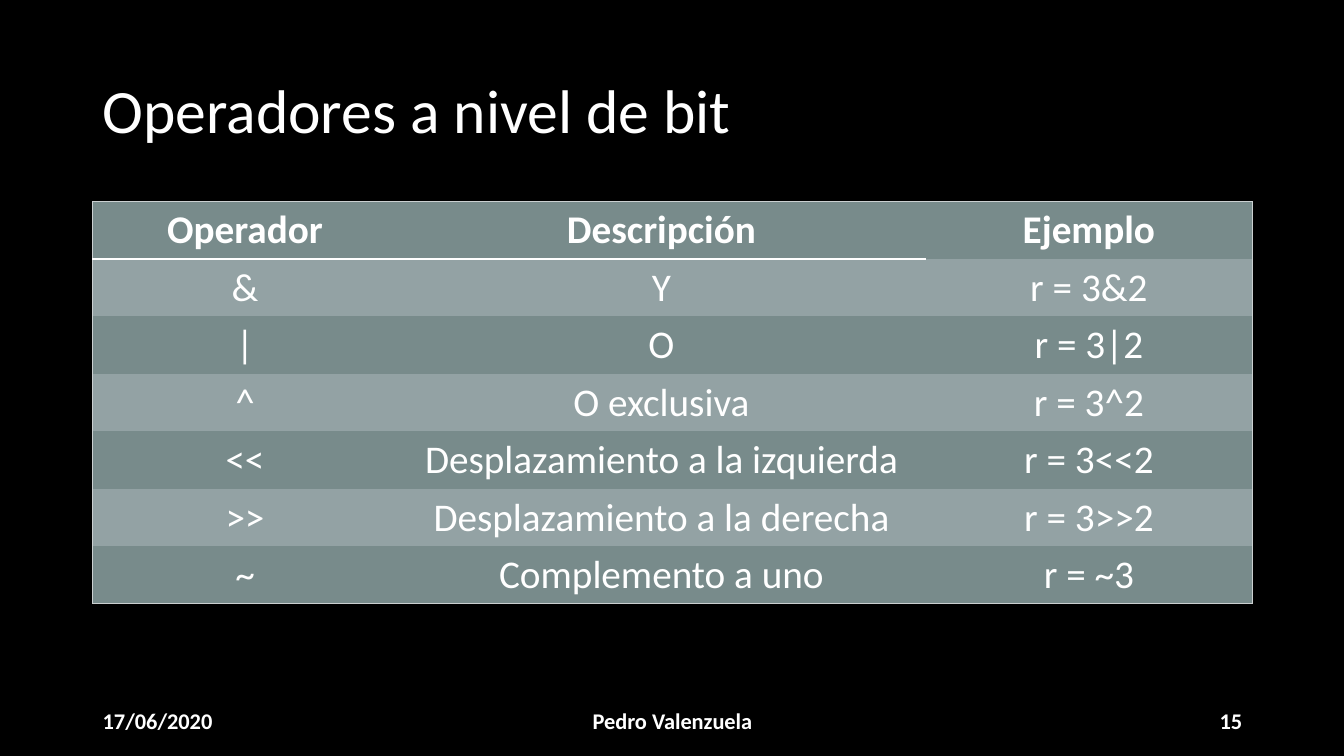
import pptx
import pptx.util
import pptx.dml.color
import pptx.enum.text
import pptx.oxml
import pptx.oxml.ns

Inches, Pt = pptx.util.Inches, pptx.util.Pt
RGBColor = pptx.dml.color.RGBColor
Align = pptx.enum.text.PP_ALIGN
Anchor = pptx.enum.text.MSO_ANCHOR

BLACK = RGBColor(0x00, 0x00, 0x00)
WHITE = RGBColor(0xFF, 0xFF, 0xFF)
FRAME = RGBColor(0xCB, 0xD0, 0xD1)
BASE = RGBColor(0x78, 0x8B, 0x8B)
BAND = RGBColor(0x93, 0xA2, 0xA4)
FONT = "Calibri"

TITLE = "Operadores a nivel de bit"
FOOT = [
    ("17/06/2020", 0.92, 3, Align.LEFT),
    ("Pedro Valenzuela", 4.42, 4.5, Align.CENTER),
    ("15", 9.42, 3, Align.RIGHT),
]
ROWS = [
    ("Operador", "Descripción", "Ejemplo"),
    ("&", "Y", "r = 3&2"),
    ("|", "O", "r = 3|2"),
    ("^", "O exclusiva", "r = 3^2"),
    ("<<", "Desplazamiento a la izquierda", "r = 3<<2"),
    (">>", "Desplazamiento a la derecha", "r = 3>>2"),
    ("~", "Complemento a uno", "r = ~3"),
]
COLS = [3.02, 5.24, 3.24]
LEFT, TOP, HIGH = 0.92, 2, 0.57


def write(frame, text, size, bold, align):
    para = frame.paragraphs[0]
    para.alignment = align
    run = para.add_run()
    run.text = text
    run.font.name = FONT
    run.font.size = Pt(size)
    run.font.bold = bold
    run.font.color.rgb = WHITE
    return para


def add_box(slide, text, area, size, bold, align, alpha):
    box = slide.shapes.add_textbox(*map(Inches, area))
    box.fill.solid()
    box.fill.fore_color.rgb = BLACK
    color = box.fill._xPr.find(".//" + pptx.oxml.ns.qn("a:srgbClr"))
    color.append(pptx.oxml.parse_xml(
        f'<a:alpha {pptx.oxml.ns.nsdecls("a")} val="{alpha * 1000}"/>'))
    frame = box.text_frame
    frame.word_wrap = True
    frame.vertical_anchor = Anchor.MIDDLE
    return write(frame, text, size, bold, align)


def set_edges(cell, edges):
    props = cell._tc.get_or_add_tcPr()
    for place, side in enumerate("LRTB"):
        color, width = edges.get(side, (None, 0))
        paint = "<a:noFill/>"
        if color is not None:
            paint = f'<a:solidFill><a:srgbClr val="{color}"/></a:solidFill>'
        props.insert(place, pptx.oxml.parse_xml(
            f'<a:ln{side} {pptx.oxml.ns.nsdecls("a")} w="{int(Pt(width))}">'
            f'{paint}</a:ln{side}>'))


def find_edges(row, col):
    thin, rule = (FRAME, 0.5), (WHITE, 1.5)
    last = len(COLS) - 1
    edges = {}
    if col == 0:
        edges["L"] = thin
    if col == last:
        edges["R"] = thin
    if row == 0:
        edges["T"] = thin
    if row == len(ROWS) - 1:
        edges["B"] = thin
    if row < 2 and col < last:
        edges["TB"[row == 0]] = rule
    return edges


def add_grid(slide):
    table = slide.shapes.add_table(
        len(ROWS), len(COLS), Inches(LEFT), Inches(TOP),
        Inches(sum(COLS)), Inches(HIGH * len(ROWS))).table
    for col, width in zip(table.columns, COLS):
        col.width = Inches(width)
    for r, words in enumerate(ROWS):
        table.rows[r].height = Inches(HIGH)
        for c, text in enumerate(words):
            cell = table.cell(r, c)
            cell.fill.solid()
            cell.fill.fore_color.rgb = BAND if r % 2 else BASE
            write(cell.text_frame, text, 28, r == 0, Align.CENTER)
            set_edges(cell, find_edges(r, c))


def main():
    deck = pptx.Presentation()
    deck.slide_width, deck.slide_height = Inches(13.33), Inches(7.5)
    slide = deck.slides.add_slide(deck.slide_layouts[6])
    slide.background.fill.solid()
    slide.background.fill.fore_color.rgb = BLACK
    title = add_box(slide, TITLE, (LEFT, 0.4, 11.5, 1.45),
                    44, False, Align.LEFT, 16)
    title.line_spacing = 0.9
    for text, left, width, align in FOOT:
        add_box(slide, text, (left, 6.95, width, 0.4), 16, True, align, 34)
    add_grid(slide)
    deck.save("out.pptx")


if __name__ == "__main__":
    main()
